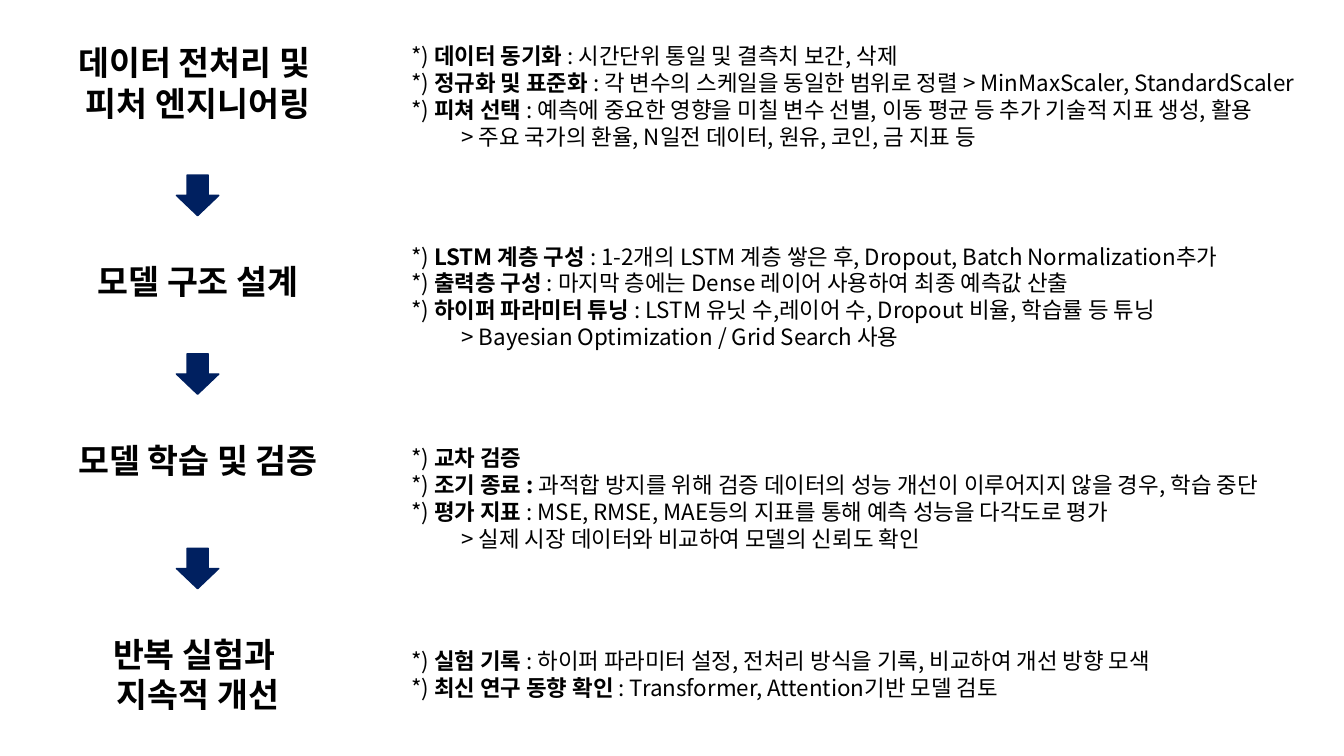
from dataclasses import dataclass

import pptx
import pptx.dml.color
import pptx.enum.shapes
import pptx.enum.text
import pptx.oxml.ns
import pptx.slide
import pptx.text.text
import pptx.util
from lxml import etree
from pptx.util import Cm

BLACK = pptx.dml.color.RGBColor(0x00, 0x00, 0x00)
NAVY = pptx.dml.color.RGBColor(0x00, 0x20, 0x60)
FONT = "Noto Sans CJK KR"
HEADING_SIZE = 24
DETAIL_SIZE = 16
LINE_FACTOR = 1.2
HEADING_LEFT, HEADING_WIDTH = Cm(0.71), Cm(8.56)
DETAIL_LEFT = Cm(10.11)
ARROW_WIDTH, ARROW_HEIGHT = Cm(1.02), Cm(1.07)
ARROW_LEFT = Cm(4.47)
ARROW_TOPS = (4.39, 8.89, 13.79)


@dataclass(frozen=True)
class Detail:
    term: str
    description: str = ""


@dataclass(frozen=True)
class Example:
    text: str


@dataclass(frozen=True)
class Stage:
    heading: tuple[str, ...]
    heading_top: float
    detail_top: float
    details: tuple[Detail | Example, ...]
    detail_width: float = 22.71


STAGES = (
    Stage(
        ("데이터 전처리 및 ", "피처 엔지니어링"), 0.94, 0.94,
        (
            Detail("데이터 동기화 ", ": 시간단위 통일 및 결측치 보간, 삭제"),
            Detail("정규화 및 표준화 ", ": 각 변수의 스케일을 동일한 범위로 정렬 > MinMaxScaler, StandardScaler"),
            Detail("피쳐 선택 ", ": 예측에 중요한 영향을 미칠 변수 선별, 이동 평균 등 추가 기술적 지표 생성, 활용"),
            Example("주요 국가의 환율, N일전 데이터, 원유, 코인, 금 지표 등"),
        ),
        23.75,
    ),
    Stage(
        ("모델 구조 설계",), 6.45, 5.99,
        (
            Detail("LSTM 계층 구성 ", ": 1-2개의 LSTM 계층 쌓은 후, Dropout, Batch Normalization추가"),
            Detail("출력층 구성 ", ": 마지막 층에는 Dense 레이어 사용하여 최종 예측값 산출"),
            Detail("하이퍼 파라미터 튜닝 ", ": LSTM 유닛 수,레이어 수, Dropout 비율, 학습률 등 튜닝"),
            Example("Bayesian Optimization / Grid Search 사용"),
        ),
    ),
    Stage(
        ("모델 학습 및 검증",), 10.95, 11.07,
        (
            Detail("교차 검증"),
            Detail("조기 종료 : ", "과적합 방지를 위해 검증 데이터의 성능 개선이 이루어지지 않을 경우, 학습 중단"),
            Detail("평가 지표 ", ": MSE, RMSE, MAE등의 지표를 통해 예측 성능을 다각도로 평가"),
            Example("실제 시장 데이터와 비교하여 모델의 신뢰도 확인"),
        ),
    ),
    Stage(
        ("반복 실험과 ", "지속적 개선"), 15.85, 16.18,
        (
            Detail("실험 기록 ", ": 하이퍼 파라미터 설정, 전처리 방식을 기록, 비교하여 개선 방향 모색"),
            Detail("최신 연구 동향 확인 ", ": Transformer, Attention기반 모델 검토"),
        ),
    ),
)


def add_paragraphs(
    slide: pptx.slide.Slide, left: int, top: int, width: int, count: int, size: int
) -> list[pptx.text.text._Paragraph]:
    line_height = pptx.util.Pt(size * LINE_FACTOR)
    height = count * line_height + Cm(0.25)
    frame = slide.shapes.add_textbox(left, top, width, height).text_frame
    frame.word_wrap = True
    frame.auto_size = pptx.enum.text.MSO_AUTO_SIZE.SHAPE_TO_FIT_TEXT
    for _ in range(count - 1):
        frame.add_paragraph()
    for paragraph in frame.paragraphs:
        paragraph.line_spacing = line_height
        paragraph.font.size = pptx.util.Pt(size)
        paragraph.font.name = FONT
        paragraph.font.color.rgb = BLACK
        properties = paragraph._p.pPr.find(pptx.oxml.ns.qn("a:defRPr"))
        etree.SubElement(properties, pptx.oxml.ns.qn("a:ea"), typeface=FONT)
    return list(frame.paragraphs)


def add_heading(slide: pptx.slide.Slide, stage: Stage) -> None:
    paragraphs = add_paragraphs(
        slide, HEADING_LEFT, Cm(stage.heading_top), HEADING_WIDTH, len(stage.heading), HEADING_SIZE
    )
    for paragraph, line in zip(paragraphs, stage.heading):
        paragraph.alignment = pptx.enum.text.PP_ALIGN.CENTER
        paragraph.font.bold = True
        paragraph.add_run().text = line


def add_details(slide: pptx.slide.Slide, stage: Stage) -> None:
    paragraphs = add_paragraphs(
        slide, DETAIL_LEFT, Cm(stage.detail_top), Cm(stage.detail_width), len(stage.details), DETAIL_SIZE
    )
    for paragraph, detail in zip(paragraphs, stage.details):
        if isinstance(detail, Example):
            paragraph.add_run().text = f"\t> {detail.text}"
            continue
        paragraph.add_run().text = "*) "
        term = paragraph.add_run()
        term.text = detail.term
        term.font.bold = True
        if detail.description:
            paragraph.add_run().text = detail.description


def add_arrow(slide: pptx.slide.Slide, top: float) -> None:
    arrow = slide.shapes.add_shape(
        pptx.enum.shapes.MSO_SHAPE.RIGHT_ARROW, ARROW_LEFT, Cm(top), ARROW_WIDTH, ARROW_HEIGHT
    )
    arrow.rotation = 90
    arrow.shadow.inherit = False
    arrow.fill.solid()
    arrow.fill.fore_color.rgb = NAVY
    arrow.line.color.rgb = NAVY
    arrow.line.width = pptx.util.Pt(1)


def main() -> None:
    presentation = pptx.Presentation()
    presentation.slide_width = Cm(33.87)
    presentation.slide_height = Cm(19.05)
    slide = presentation.slides.add_slide(presentation.slide_layouts[6])
    for stage in STAGES:
        add_heading(slide, stage)
        add_details(slide, stage)
    for top in ARROW_TOPS:
        add_arrow(slide, top)
    presentation.save("out.pptx")


if __name__ == "__main__":
    main()
